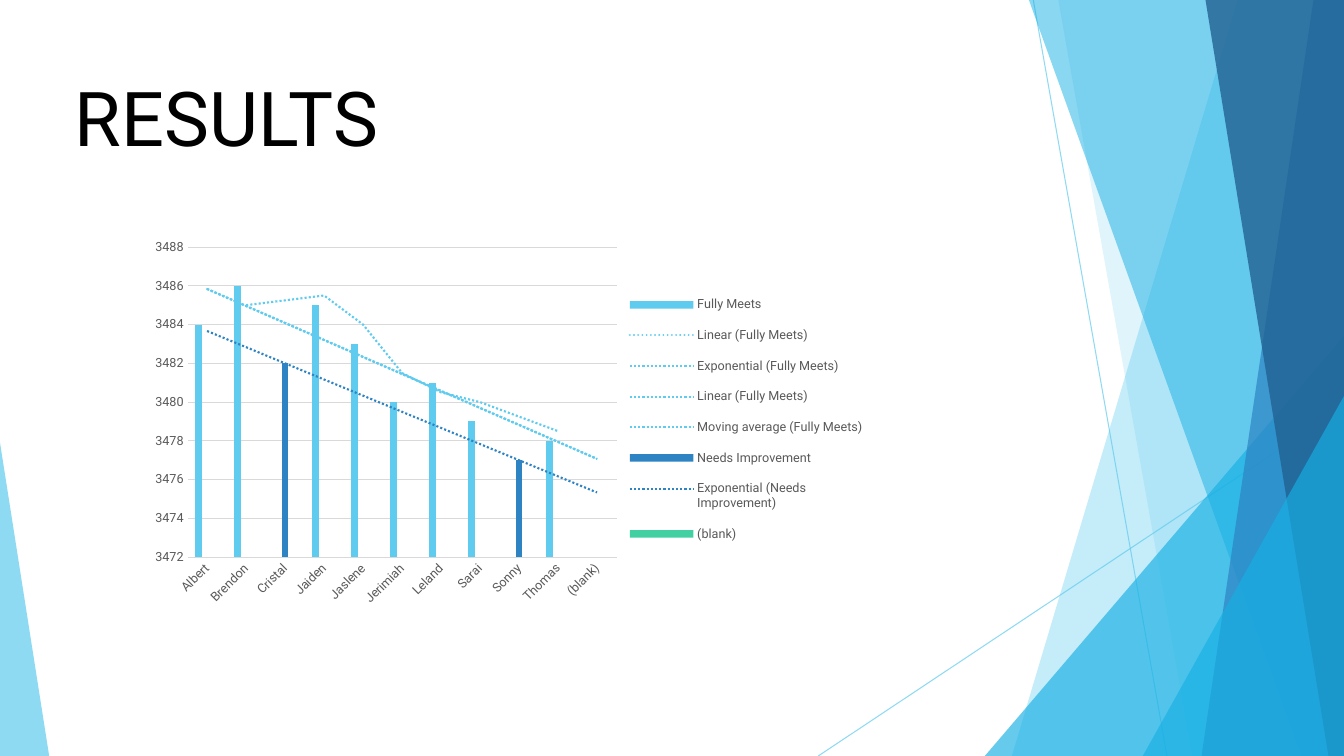
from lxml import etree
from pptx import Presentation
from pptx import util as u
from pptx.chart import data as cd
from pptx.dml.color import RGBColor
from pptx.enum import chart as ce, shapes, text
from pptx.oxml import ns, parse_xml

WIDE, HIGH = 33.87, 19.05
FONT = "Roboto"
SKY, BLUE, CYAN, NAVY, GREEN = "5FCBEF", "2E83C3", "17B0E4", "226292", "42D0A2"
GREY, PALE = "595959", "D9D9D9"

# top x, bottom x, colour, opacity; each band runs to the right edge
BACK = [(31.19, 25.5, SKY, 36), (26.67, 30.05, SKY, 20)]
FRONT = [(25.93, 32.79, CYAN, 50), (33.1, 30.28, BLUE, 70), (30.38, 33.48, NAVY, 80)]

NAMES = ["Albert", "Brendon", "Cristal", "Jaiden", "Jaslene", "Jerimiah",
         "Leland", "Sarai", "Sonny", "Thomas", "(blank)"]
MEETS = [3484, 3486, None, 3485, 3483, 3480, 3481, 3479, None, 3478, None]
NEEDS = [None, None, 3482, None, None, None, None, None, 3477, None, None]
SERIES = [("Fully Meets", MEETS, SKY, ["linear", "exp", "linear", "movingAvg"]),
          ("Needs Improvement", NEEDS, BLUE, ["exp"]),
          ("(blank)", [None] * len(NAMES), GREEN, [])]
LABELS = {"linear": "Linear", "exp": "Exponential", "movingAvg": "Moving average"}


def put(item, **vals):
    for key, val in vals.items():
        setattr(item, key, val)


def tint(fmt, color, alpha=100):
    """Set a solid colour, with opacity in percent, on a fill."""
    fmt.solid()
    fmt.fore_color.rgb = RGBColor.from_string(color)
    if alpha < 100:
        node = next(fmt._xPr.iter(ns.qn("a:srgbClr")))
        etree.SubElement(node, ns.qn("a:alpha")).set("val", str(alpha * 1000))


def style(font, size, color):
    put(font, name=FONT, size=u.Pt(size), bold=False)
    font.color.rgb = RGBColor.from_string(color)


def paint(shape, color, alpha):
    shape.shadow.inherit = False
    tint(shape.fill, color, alpha)
    shape.line.fill.background()


def rule(slide, x1, y1, x2, y2):
    line = slide.shapes.add_connector(
        shapes.MSO_CONNECTOR.STRAIGHT, u.Cm(x1), u.Cm(y1), u.Cm(x2), u.Cm(y2))
    line.line.width = u.Pt(0.75)
    tint(line.line.fill, SKY, 70)
    etree.SubElement(line._element.spPr, ns.qn("a:effectLst"))


def band(slide, top, foot, color, alpha):
    form = slide.shapes.build_freeform(u.Cm(top), 0)
    form.add_line_segments([(u.Cm(x), u.Cm(y)) for x, y in
                            [(WIDE, 0), (WIDE, HIGH), (foot, HIGH)]])
    paint(form.convert_to_shape(), color, alpha)


def wedge(slide, left, top, width, tip, color, alpha):
    """Triangle standing on the bottom edge, its tip at 0 left or 1 right."""
    shape = slide.shapes.add_shape(
        shapes.MSO_SHAPE.ISOSCELES_TRIANGLE, u.Cm(left), u.Cm(top),
        u.Cm(width), u.Cm(HIGH - top))
    shape.adjustments[0] = tip
    paint(shape, color, alpha)


def head(slide, words):
    title = slide.shapes.title
    put(title, left=u.Cm(1.63), top=u.Cm(1.65), width=u.Cm(19.28), height=u.Cm(2.57))
    put(title.text_frame, text=words, word_wrap=True,
        vertical_anchor=text.MSO_ANCHOR.MIDDLE)
    para = title.text_frame.paragraphs[0]
    para.alignment = text.PP_ALIGN.LEFT
    style(para.runs[0].font, 54, "000000")


def trend(series, kind, color, cap):
    """Add a dotted trend line to a series."""
    span = '<c:period val="2"/>' if kind == "movingAvg" else ""
    node = parse_xml(
        f'<c:trendline {ns.nsdecls("c", "a")}>'
        f'<c:name>{LABELS[kind]} ({series.name})</c:name>'
        f'<c:spPr><a:ln w="19050" cap="{cap}"><a:solidFill><a:srgbClr val="{color}"/>'
        f'</a:solidFill><a:prstDash val="sysDot"/></a:ln></c:spPr>'
        f'<c:trendlineType val="{kind}"/>{span}'
        f'<c:dispRSqr val="0"/><c:dispEq val="0"/></c:trendline>')
    series._element.find(ns.qn("c:cat")).addprevious(node)


def place(part, x, y, w, h, inner=False):
    """Fix a chart part at fractions of the chart area."""
    old = part.find(ns.qn("c:layout"))
    if old is not None:
        part.remove(old)
    goal = '<c:layoutTarget val="inner"/>' if inner else ""
    modes = '<c:xMode val="edge"/><c:yMode val="edge"/>'
    sizes = "".join(f'<c:{k} val="{v}"/>' for k, v in zip("xywh", (x, y, w, h)))
    node = parse_xml(f'<c:layout {ns.nsdecls("c")}><c:manualLayout>'
                     f'{goal}{modes}{sizes}</c:manualLayout></c:layout>')
    if inner:
        part.insert(0, node)
    else:
        part.find(ns.qn("c:legendPos")).addnext(node)


def axes(chart):
    cat, val = chart.category_axis, chart.value_axis
    for axis in (cat, val):
        put(axis, major_tick_mark=ce.XL_TICK_MARK.NONE,
            minor_tick_mark=ce.XL_TICK_MARK.NONE)
        style(axis.tick_labels.font, 9, GREY)
    put(val, minimum_scale=3472, maximum_scale=3488, major_unit=2,
        has_major_gridlines=True)
    val.format.line.fill.background()
    for line in (cat.format.line, val.major_gridlines.format.line):
        line.width = u.Pt(0.75)
        tint(line.fill, PALE)
    body = next(cat._element.iter(ns.qn("a:bodyPr")))
    body.set("rot", "-2700000")
    body.set("vert", "horz")


def graph(slide):
    data = cd.CategoryChartData()
    data.categories = NAMES
    for name, vals, _, _ in SERIES:
        data.add_series(name, vals)
    chart = slide.shapes.add_chart(
        ce.XL_CHART_TYPE.COLUMN_CLUSTERED, u.Cm(3.61), u.Cm(5.84),
        u.Cm(18.64), u.Cm(9.65), data).chart
    put(chart, has_title=False, has_legend=True)
    style(chart.font, 10, "000000")
    axes(chart)
    plot = chart.plots[0]
    put(plot, gap_width=219, overlap=-27, vary_by_categories=False)
    for series, (_, _, color, kinds) in zip(plot.series, SERIES):
        tint(series.format.fill, color)
        series.invert_if_negative = False
        for i, kind in enumerate(kinds):
            trend(series, kind, color, "rnd" if i == 0 and color == SKY else "flat")
    put(chart.legend, position=ce.XL_LEGEND_POSITION.RIGHT, include_in_layout=False)
    style(chart.legend.font, 9, GREY)
    place(chart._chartSpace.chart.plotArea, 0.06, 0.04, 0.58, 0.81, inner=True)
    place(chart.legend._element, 0.65, 0.13, 0.33, 0.72)


def main():
    deck = Presentation()
    put(deck, slide_width=u.Cm(WIDE), slide_height=u.Cm(HIGH))
    slide = deck.slides.add_slide(deck.slide_layouts[5])
    rule(slide, 26.04, 0, 29.41, HIGH)
    rule(slide, WIDE, 10.24, 20.62, HIGH)
    for row in BACK:
        band(slide, *row)
    wedge(slide, 24.82, 8.46, 9.05, 1, CYAN, 66)
    for row in FRONT:
        band(slide, *row)
    wedge(slide, 28.8, 9.98, 5.07, 1, CYAN, 66)
    wedge(slide, 0, 11.15, 1.24, 0, SKY, 70)
    head(slide, "RESULTS")
    graph(slide)
    deck.save("out.pptx")


if __name__ == "__main__":
    main()
